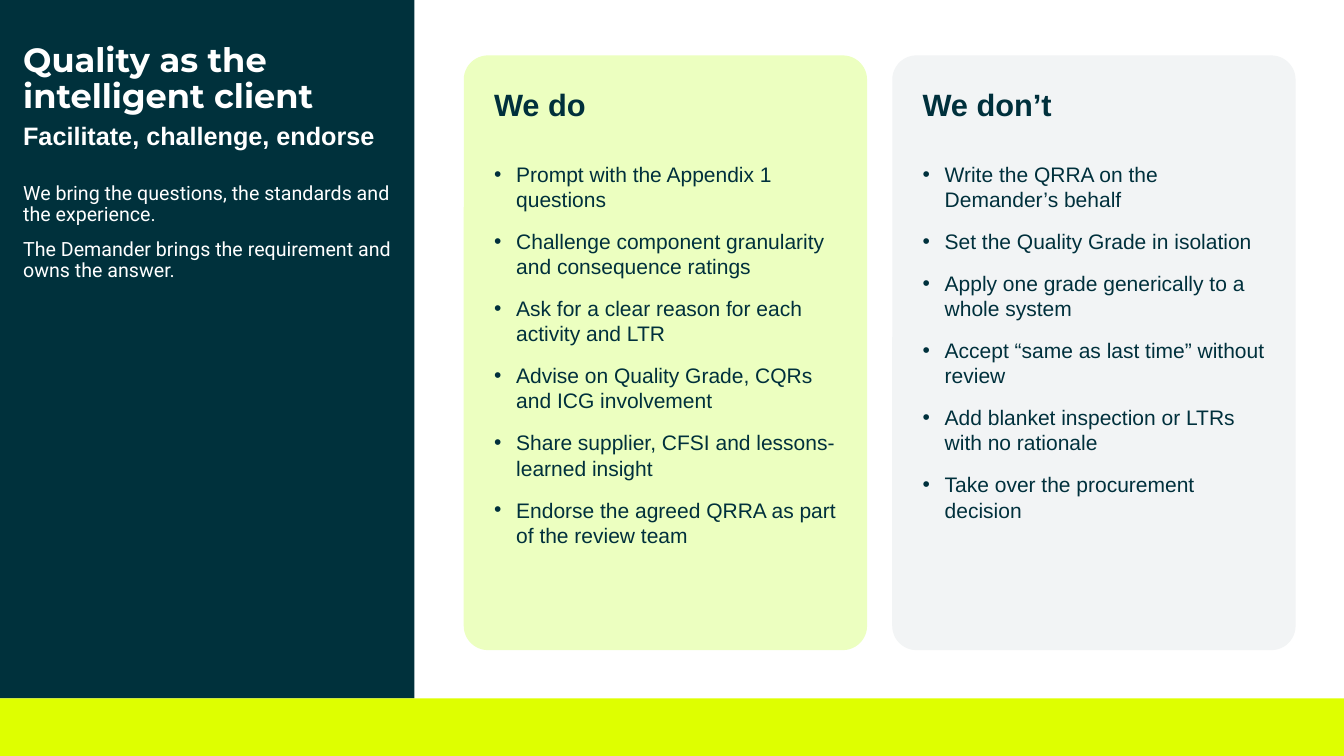
from lxml.etree import SubElement
from pptx import Presentation
from pptx.dml.color import RGBColor
from pptx.enum.shapes import MSO_SHAPE as Shape
from pptx.enum.text import MSO_ANCHOR as Anchor, MSO_AUTO_SIZE as AutoSize, PP_ALIGN as Align
from pptx.oxml.ns import qn
from pptx.util import Inches, Pt

COLORS = {
    "panel": "00313C", "band": "DEFF00", "white": "FFFFFF",
    "ink": "00303C", "do": "ECFFC0", "dont": "F2F4F5",
}
TITLE = {"name": "Montserrat", "size": Pt(24), "bold": True}
SUBTITLE = {"name": "Arial", "size": Pt(18), "bold": True}
SUMMARY = {"name": "Roboto", "size": Pt(14), "bold": False}
HEADING = {"name": "Arial", "size": Pt(22), "bold": True}
ITEM = {"name": "Arial", "size": Pt(15), "bold": False}
FRAME = {
    "margin_left": 0, "margin_top": 0, "margin_right": 0, "margin_bottom": 0,
    "word_wrap": True, "auto_size": AutoSize.NONE, "vertical_anchor": Anchor.TOP,
}
SIDE_PARAGRAPH = {"alignment": Align.LEFT, "line_spacing": 0.9}

DO_ITEMS = [
    "Prompt with the Appendix 1 questions",
    "Challenge component granularity and consequence ratings",
    "Ask for a clear reason for each activity and LTR",
    "Advise on Quality Grade, CQRs and ICG involvement",
    "Share supplier, CFSI and lessons-learned insight",
    "Endorse the agreed QRRA as part of the review team",
]
DONT_ITEMS = [
    "Write the QRRA on the Demander’s behalf",
    "Set the Quality Grade in isolation",
    "Apply one grade generically to a whole system",
    "Accept “same as last time” without review",
    "Add blanket inspection or LTRs with no rationale",
    "Take over the procurement decision",
]


def apply(target, values):
    for name, value in values.items():
        setattr(target, name, value)


def place(shape, left, top, width, height):
    apply(shape, {"left": Inches(left), "top": Inches(top),
                  "width": Inches(width), "height": Inches(height)})


def add_block(slide, kind, color, left, top, width, height):
    shape = slide.shapes.add_shape(
        kind, Inches(left), Inches(top), Inches(width), Inches(height))
    shape.shadow.inherit = False
    shape.fill.solid()
    shape.fill.fore_color.rgb = RGBColor.from_string(COLORS[color])
    shape.line.fill.background()
    return shape


def add_bullet(paragraph):
    properties = paragraph._p.get_or_add_pPr()
    properties.set("marL", str(Inches(0.22)))
    properties.set("indent", str(-Inches(0.22)))
    SubElement(properties, qn("a:buFont")).set("typeface", "Arial")
    SubElement(properties, qn("a:buChar")).set("char", "•")


def write(shape, lines, font, color, spacing, gap_before=0, bullets=False):
    frame = shape.text_frame
    apply(frame, FRAME)
    for index, line in enumerate(lines):
        paragraph = frame.add_paragraph() if index else frame.paragraphs[0]
        if bullets:
            add_bullet(paragraph)
        apply(paragraph, spacing)
        paragraph.space_before = Pt(gap_before if index else 0)
        run = paragraph.add_run()
        run.text = line
        apply(run.font, font)
        run.font.color.rgb = RGBColor.from_string(COLORS[color])


def add_text(slide, box, *content, **options):
    shape = slide.shapes.add_textbox(*map(Inches, box))
    write(shape, *content, **options)


def add_side_panel(slide, left, top, width, height):
    add_block(slide, Shape.RECTANGLE, "panel", left, top, width, height)
    text_left, text_width = left + 0.23, width - 0.44
    title = slide.shapes.title
    slide.shapes.element.append(title.element)
    place(title, text_left, top + 0.43, text_width, 0.55)
    write(title, ["Quality as the intelligent client"], TITLE, "white", SIDE_PARAGRAPH)
    add_text(slide, (text_left, top + 1.23, text_width, 0.34),
             ["Facilitate, challenge, endorse"], SUBTITLE, "white", SIDE_PARAGRAPH)
    add_text(slide, (text_left, top + 1.82, text_width, 4.57),
             ["We bring the questions, the standards and the experience.",
              "The Demander brings the requirement and owns the answer."],
             SUMMARY, "white", SIDE_PARAGRAPH, gap_before=10)


def add_card(slide, heading, items, color, left, top, width, height):
    card = add_block(slide, Shape.ROUNDED_RECTANGLE, color, left, top, width, height)
    card.adjustments[0] = 0.06
    padding = 0.3
    text_left, text_width = left + padding, width - 2 * padding
    add_text(slide, (text_left, top + padding, text_width, 0.5),
             [heading], HEADING, "ink", {"space_after": Pt(6)})
    add_text(slide, (text_left, top + 1.05, text_width, height - 1.3),
             items, ITEM, "ink", {"space_after": Pt(12)}, bullets=True)


def main():
    presentation = Presentation()
    presentation.slide_width = Inches(13.33)
    presentation.slide_height = Inches(7.5)
    slide = presentation.slides.add_slide(presentation.slide_layouts[5])
    add_side_panel(slide, 0, 0, 4.11, 6.93)
    add_block(slide, Shape.RECTANGLE, "band", 0, 6.93, 13.33, 0.57)
    cards = [("We do", DO_ITEMS, "do"), ("We don’t", DONT_ITEMS, "dont")]
    for index, card in enumerate(cards):
        add_card(slide, *card, 4.6 + index * 4.25, 0.55, 4, 5.9)
    presentation.save("out.pptx")


if __name__ == "__main__":
    main()
